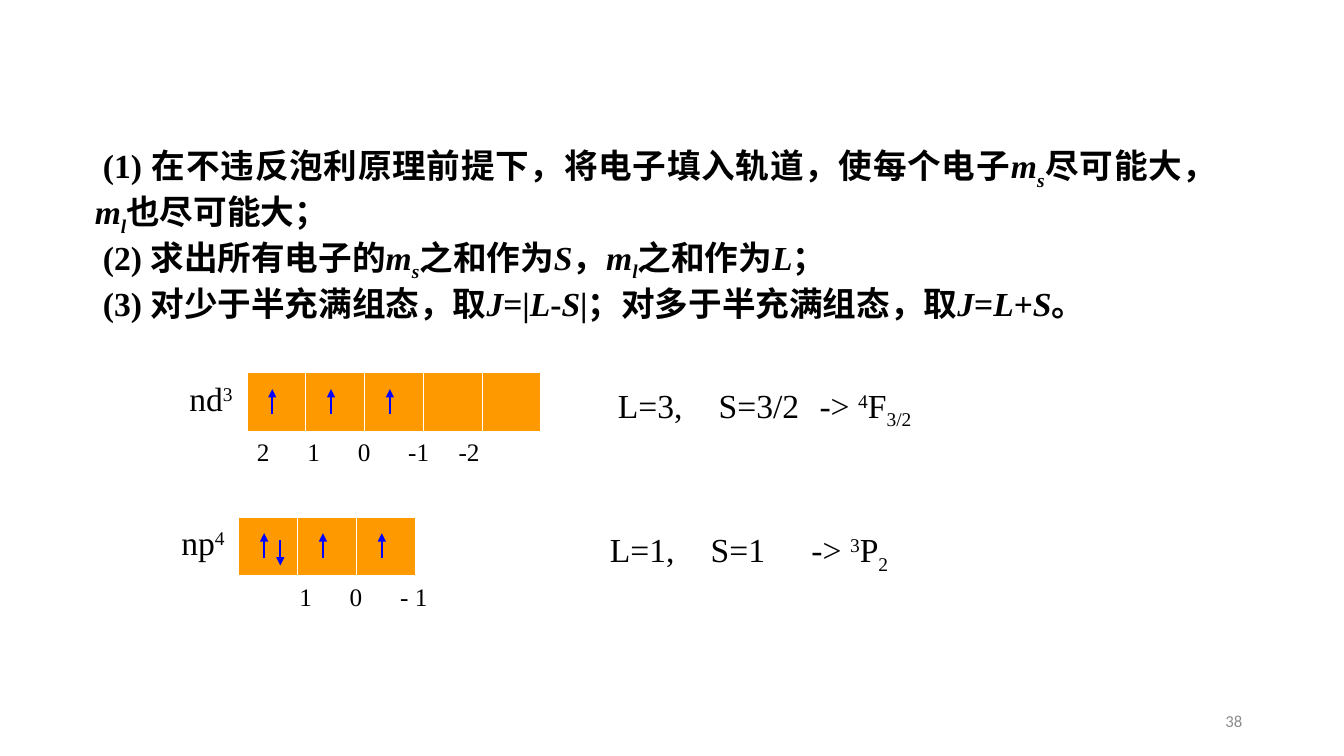
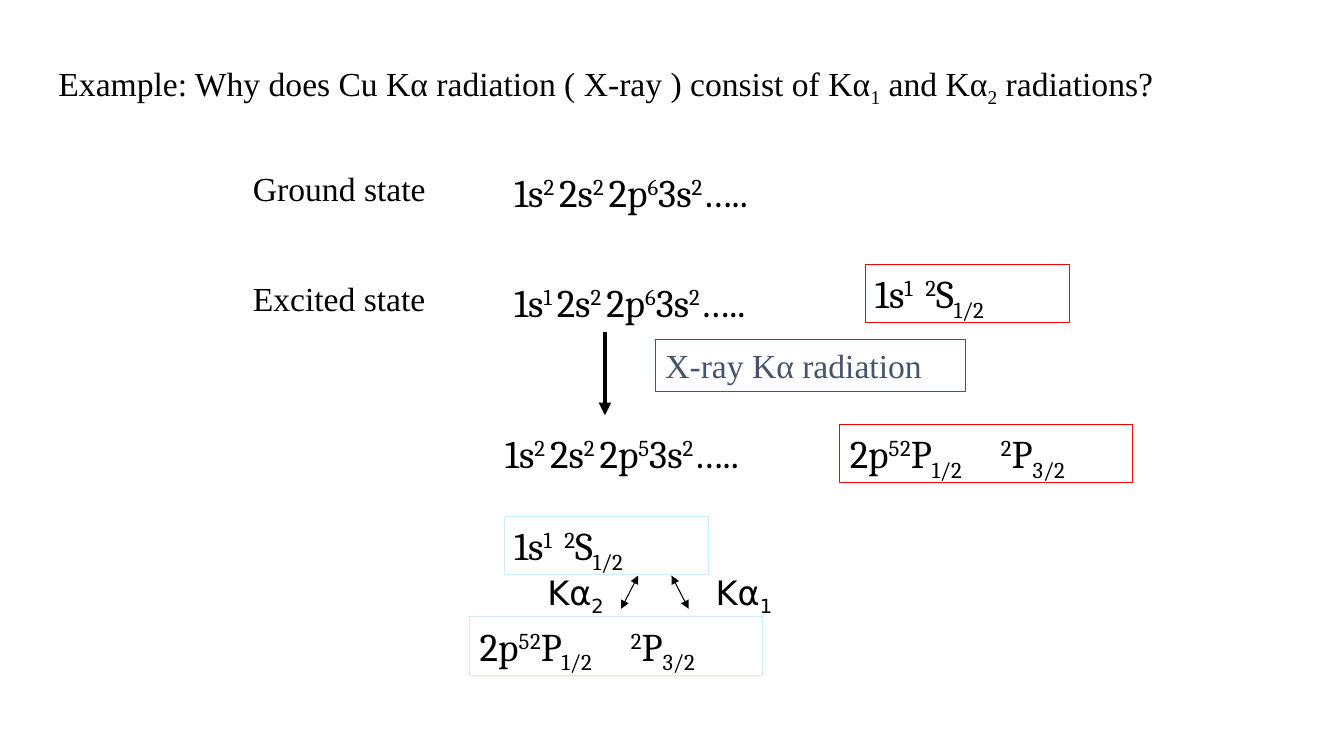
from lxml.etree import SubElement
from pptx import Presentation
from pptx.dml.color import RGBColor
from pptx.enum.shapes import MSO_CONNECTOR, MSO_SHAPE
from pptx.enum.text import MSO_ANCHOR, MSO_AUTO_SIZE, PP_ALIGN
from pptx.oxml.ns import qn
from pptx.util import Inches, Pt

# Shared style
SERIF, FORMULA, SANS = "Times New Roman", "Cambria", "DejaVu Sans"
BLACK, WHITE, ORANGE, BLUE = "000000", "FFFFFF", "FF9900", "0000FF"
RED, PALE_BLUE, LINK_BLUE, SLATE, GREY = "FF0000", "CCECFF", "0563C1", "44546A", "8C8C8C"
CELL = 7 / 12
BASELINES = {"^": "30000", "_": "-25000"}


def colour(hex_code):
    return RGBColor.from_string(hex_code)


def place(shape, left, top, width, height):
    shape.left, shape.top = Inches(left), Inches(top)
    shape.width, shape.height = Inches(width), Inches(height)


# Text: a run is a string or (string, style); styles are i, ^ and _
def fill_paragraph(paragraph, runs, size=24, font=SERIF, ink=BLACK, bold=False,
                   align=PP_ALIGN.LEFT, indent=0, tabs=()):
    properties = paragraph._p.get_or_add_pPr()
    properties.set("marL", "0")
    properties.set("indent", str(Inches(indent)))
    SubElement(properties, qn("a:buNone"))
    if tabs:
        tab_list = SubElement(properties, qn("a:tabLst"))
        for position in tabs:
            SubElement(tab_list, qn("a:tab"), pos=str(Inches(position)), algn="l")
    paragraph.alignment = align
    paragraph.space_before = Pt(0)
    for item in runs:
        text, style = (item, "") if isinstance(item, str) else item
        run = paragraph.add_run()
        run.text = text
        run.font.name, run.font.size = font, Pt(size)
        run.font.bold, run.font.italic = bold, "i" in style
        run.font.color.rgb = colour(ink)
        for mark, baseline in BASELINES.items():
            if mark in style:
                run.font._element.set("baseline", baseline)


def fill_frame(shape, paragraphs, anchor=MSO_ANCHOR.TOP, **style):
    frame = shape.text_frame
    frame.word_wrap = True
    frame.auto_size = MSO_AUTO_SIZE.NONE
    frame.vertical_anchor = anchor
    for index, runs in enumerate(paragraphs):
        paragraph = frame.add_paragraph() if index else frame.paragraphs[0]
        fill_paragraph(paragraph, runs, **style)


def add_text(slide, box, runs, **style):
    shape = slide.shapes.add_textbox(*map(Inches, box))
    fill_frame(shape, [runs], **style)


# Shapes and lines
def add_rectangle(slide, box, outline, fill=None):
    shape = slide.shapes.add_shape(MSO_SHAPE.RECTANGLE, *map(Inches, box))
    shape.shadow.inherit = False
    if fill:
        shape.fill.solid()
        shape.fill.fore_color.rgb = colour(fill)
    else:
        shape.fill.background()
    shape.line.color.rgb = colour(outline)
    shape.line.width = Pt(0.75)
    return shape


def add_line(slide, start, end, ink, width=0.75, arrows=()):
    connector = slide.shapes.add_connector(
        MSO_CONNECTOR.STRAIGHT, *map(Inches, (*start, *end)))
    connector.line.color.rgb = colour(ink)
    connector.line.width = Pt(width)
    properties = connector.element.spPr
    for name in arrows:
        SubElement(properties.find(qn("a:ln")), qn(f"a:{name}"), type="triangle")
    SubElement(properties, qn("a:effectLst"))


# Orbital diagram: label, cells, spins, quantum numbers and term symbol
def add_orbitals(slide, left, top, label, spins, numbers, number_tabs, term, term_tabs):
    add_text(slide, (left - 0.67, top, 0.67, 0.5), label)
    width = CELL * len(spins)
    add_rectangle(slide, (left, top, width, CELL), WHITE, ORANGE)
    for index, spin in enumerate(spins):
        x = left + index * CELL
        if index:
            add_line(slide, (x, top), (x, top + CELL), WHITE)
        if "↑" in spin:
            add_line(slide, (x + 0.25, top + 0.41), (x + 0.25, top + 0.16),
                     BLUE, 1.5, ["tailEnd"])
        if "↓" in spin:
            add_line(slide, (x + 0.41, top + 0.23), (x + 0.41, top + 0.48),
                     BLUE, 1.5, ["tailEnd"])
    add_text(slide, (left, top + CELL, width + 0.25, 0.4), [numbers],
             size=18, tabs=number_tabs)
    add_text(slide, (left + 3.58, top + 0.07, 3.42, 0.5), term, tabs=term_tabs)


def add_configuration(slide, left, top, s_count, p_count):
    runs = ["1s", (s_count + " ", "^"), "2s", ("2 ", "^"), "2p", (p_count, "^"),
            "3s", ("2", "^"), "….."]
    add_text(slide, (left, top, 2.87, 0.57), runs, size=28, font=FORMULA)


def add_s_term(slide, left, top, outline):
    shape = add_rectangle(slide, (left, top, 2.03, 0.58), outline)
    runs = ["1s", ("1", "^"), "\t", ("2", "^"), "S", ("1/2", "_")]
    fill_frame(shape, [runs], size=28, font=FORMULA, tabs=[0.86])


def add_p_term(slide, left, top, outline):
    shape = add_rectangle(slide, (left, top, 2.9, 0.58), outline)
    runs = ["2p", ("5", "^"), "\t", ("2", "^"), "P", ("1/2", "_"),
            "\t", ("2", "^"), "P", ("3/2", "_")]
    fill_frame(shape, [runs], size=28, font=FORMULA, tabs=[0.98, 1.69])


def build_rules_slide(presentation):
    slide = presentation.slides.add_slide(presentation.slide_layouts[1])
    title = slide.shapes.title
    title.element.getparent().remove(title.element)

    # Rules
    m, s, l = ("m", "i"), ("s", "i_"), ("l", "i_")
    total_s, total_l, total_j = ("S", "i"), ("L", "i"), ("J", "i")
    rules = [
        ["(1) 在不违反泡利原理前提下，将电子填入轨道，使每个电子", m, s,
         "尽可能大，", m, l, "也尽可能大；"],
        ["(2) 求出所有电子的", m, s, "之和作为", total_s, "，", m, l,
         "之和作为", total_l, "；"],
        ["(3) 对少于半充满组态，取", total_j, "=|", total_l, "-", ("S|", "i"),
         "；对多于半充满组态，取", total_j, "=", total_l, "+", total_s, "。"],
    ]
    body = slide.placeholders[1]
    place(body, 0.84, 1.39, 10.99, 1.72)
    fill_frame(body, rules, bold=True, align=PP_ALIGN.JUSTIFY, indent=0.08)

    # Worked configurations
    add_orbitals(slide, 2.45, 3.7, ["nd", ("3", "^")], ["↑", "↑", "↑", "", ""],
                 "2\t1\t0\t-1\t-2", [0.75, 1.31, 1.87, 2.39],
                 ["L=3,\tS=3/2\t-> ", ("4", "^"), "F", ("3/2", "_")], [0.81, 2.02])
    add_orbitals(slide, 2.37, 5.13, ["np", ("4", "^")], ["↑↓", "↑", "↑"],
                 "\t1\t0\t- 1", [0.13, 0.74, 1.25],
                 ["L=1,\tS=1\t-> ", ("3", "^"), "P", ("2", "_")], [0.81, 1.76])

    # Page number
    add_text(slide, (9.42, 6.95, 3, 0.4), ["38"], size=12, font="Calibri",
             ink=GREY, align=PP_ALIGN.RIGHT, anchor=MSO_ANCHOR.MIDDLE)


def build_example_slide(presentation):
    slide = presentation.slides.add_slide(presentation.slide_layouts[5])
    title = slide.shapes.title
    place(title, 0.48, 0.57, 12.21, 0.5)
    fill_frame(title, [["Example: Why does Cu Kα radiation ( X-ray ) consist of Kα",
                        ("1", "_"), " and Kα", ("2", "_"), " radiations?"]])

    # States and transition
    for label, top in (("Ground state", 1.62), ("Excited state", 2.71)):
        add_text(slide, (2.41, top, 2.25, 0.5), [label])
    add_configuration(slide, 5, 1.62, "2", "6")
    add_configuration(slide, 5, 2.71, "1", "6")
    add_configuration(slide, 4.91, 4.21, "2", "5")
    add_line(slide, (6, 3.29), (6, 4.12), BLACK, 3, ["tailEnd"])
    radiation = add_rectangle(slide, (6.5, 3.37, 3.08, 0.51), LINK_BLUE)
    fill_frame(radiation, [["X-ray Kα radiation"]], ink=SLATE)

    # Term symbols
    add_s_term(slide, 8.58, 2.62, RED)
    add_p_term(slide, 8.33, 4.21, RED)
    add_s_term(slide, 5, 5.12, PALE_BLUE)
    add_p_term(slide, 4.66, 6.12, PALE_BLUE)

    # Split lines
    for number, left, start, end in (("2", 5.33, 6.33, 6.16), ("1", 7, 6.66, 6.83)):
        add_line(slide, (start, 5.71), (end, 6.04), BLACK,
                 arrows=["headEnd", "tailEnd"])
        add_text(slide, (left, 5.62, 0.79, 0.51), ["Kα", (number, "_")], font=SANS)


def main():
    presentation = Presentation()
    presentation.slide_width, presentation.slide_height = Inches(13.33), Inches(7.5)
    build_rules_slide(presentation)
    build_example_slide(presentation)
    presentation.save("out.pptx")


if __name__ == "__main__":
    main()
